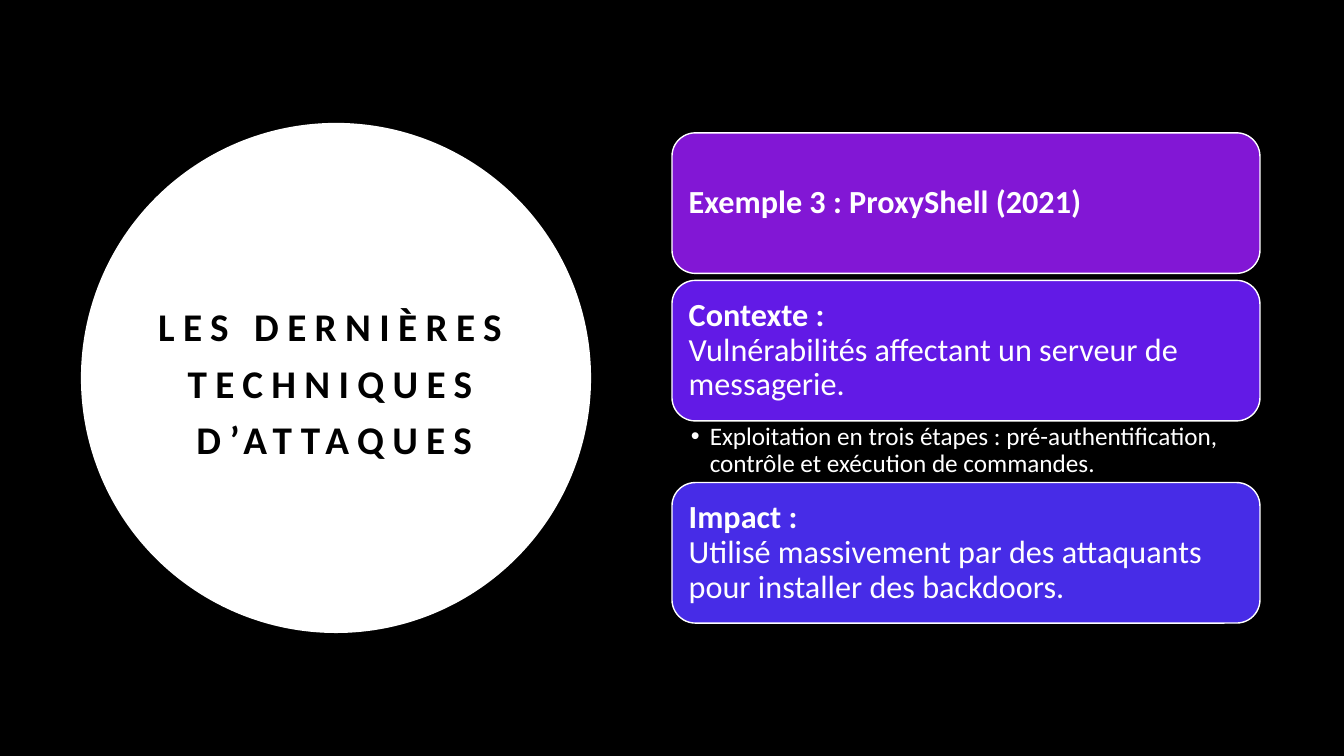
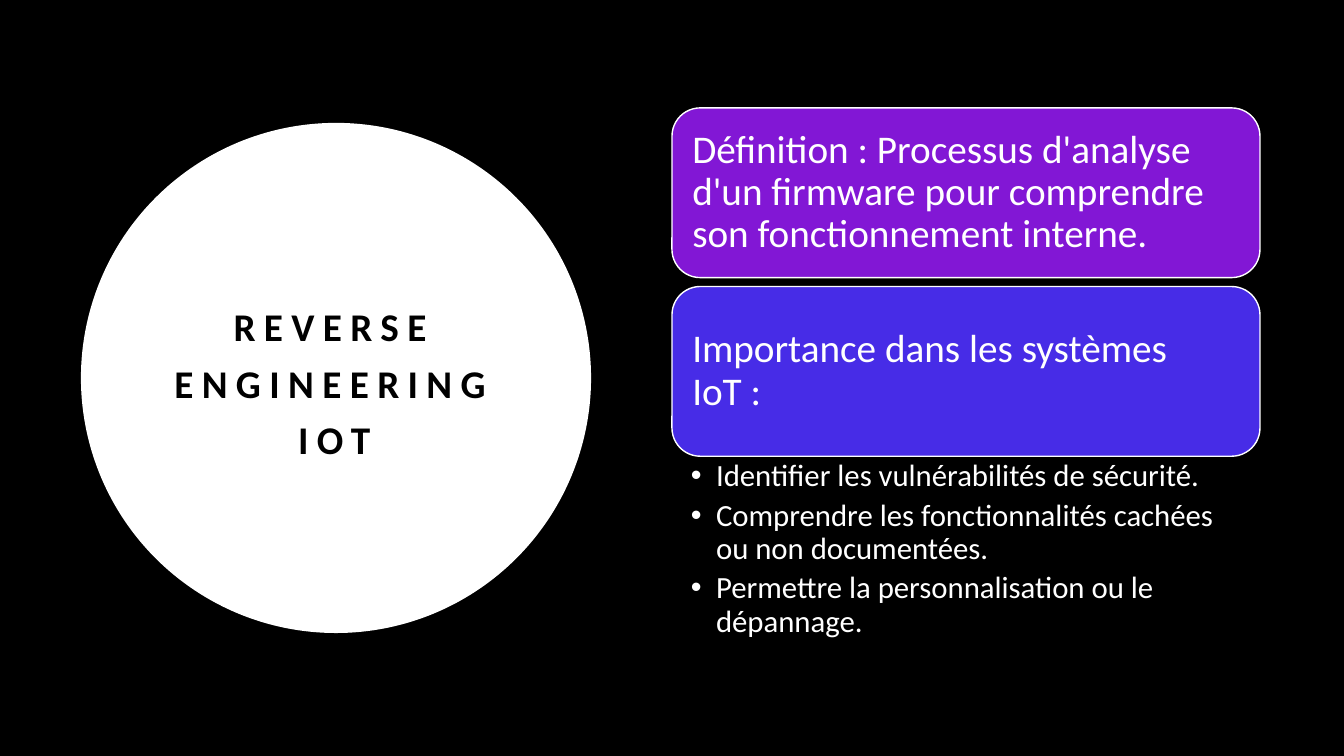
"""Build two slides on attack techniques and IoT reverse engineering."""
from dataclasses import dataclass

from lxml.etree import SubElement
from pptx import Presentation
from pptx.dml.color import RGBColor as RGB
from pptx.enum.shapes import MSO_SHAPE as Shape
from pptx.enum.text import MSO_ANCHOR as Anchor, MSO_AUTO_SIZE as AutoSize, PP_ALIGN as Align
from pptx.oxml.ns import qn
from pptx.util import Pt


@dataclass(frozen=True)
class Theme:
    font: str = "Calibri"
    black: RGB = RGB(0x00, 0x00, 0x00)
    white: RGB = RGB(0xFF, 0xFF, 0xFF)
    purple: RGB = RGB(0x82, 0x17, 0xD5)
    violet: RGB = RGB(0x62, 0x1A, 0xE6)
    indigo: RGB = RGB(0x47, 0x2C, 0xE7)
    title_size: float = 28
    title_tracking: int = 600


THEME = Theme()
SLIDE_W, SLIDE_H = 960, 540
CIRCLE_LEFT, CIRCLE_SIZE = 57.8, 364.4
TITLE_LEFT, TITLE_W, TITLE_H = 95.2, 287.2, 180
BAND_LEFT, BAND_W = 480, 420

SLIDES = [
    {
        "title": "LES DERNIÈRES TECHNIQUES D’ATTAQUES",
        "band": {"height": 100.4, "gap": 5, "size": 23, "inset": 7.2},
        "list": {"height": 44, "size": 18, "indent": 13.5, "inset": (13.5, 2.1, 13, 2.1)},
        "sections": [
            {"color": THEME.purple, "lead": "Exemple 3 : ProxyShell (2021)"},
            {
                "color": THEME.violet,
                "lead": "Contexte :",
                "body": "Vulnérabilités affectant un serveur de messagerie.",
                "points": [
                    "Exploitation en trois étapes : pré-authentification, "
                    "contrôle et exécution de commandes.",
                ],
            },
            {
                "color": THEME.indigo,
                "lead": "Impact :",
                "body": "Utilisé massivement par des attaquants pour installer des backdoors.",
            },
        ],
    },
    {
        "title": "REVERSE ENGINEERING IOT",
        "band": {"height": 121.2, "gap": 6.4, "size": 28, "inset": 8.6},
        "list": {"height": 137, "size": 22, "indent": 18, "inset": (13.5, 2.8, 15.8, 2.8)},
        "sections": [
            {
                "color": THEME.purple,
                "body": "Définition : Processus d'analyse d'un firmware "
                        "pour comprendre son fonctionnement interne.",
            },
            {
                "color": THEME.indigo,
                "body": "Importance dans les systèmes IoT :",
                "points": [
                    "Identifier les vulnérabilités de sécurité.",
                    "Comprendre les fonctionnalités cachées ou non documentées.",
                    "Permettre la personnalisation ou le dépannage.",
                ],
            },
        ],
    },
]


def write(shape, paragraphs, *, size, color=THEME.white, align=Align.LEFT, anchor=Anchor.MIDDLE,
          inset=(7.2, 3.6, 7.2, 3.6), spacing=0.9, after=0, indent=0, tracking=0):
    """Fill a shape with paragraphs, each a list of (line, bold) pairs."""
    frame = shape.text_frame
    frame.word_wrap = True
    frame.auto_size = AutoSize.NONE
    frame.vertical_anchor = anchor
    frame.margin_left, frame.margin_top, frame.margin_right, frame.margin_bottom = map(Pt, inset)
    for number, lines in enumerate(paragraphs):
        paragraph = frame.add_paragraph() if number else frame.paragraphs[0]
        paragraph.alignment = align
        paragraph.line_spacing = spacing
        paragraph.space_before = Pt(0)
        paragraph.space_after = Pt(after)
        if indent:
            paragraph.level = 1
            properties = paragraph._p.get_or_add_pPr()
            properties.set("marL", str(Pt(indent)))
            properties.set("indent", str(-Pt(indent)))
            SubElement(properties, qn("a:buFont"), typeface="Arial")
            SubElement(properties, qn("a:buChar"), char="•")
        for position, (line, bold) in enumerate(lines):
            if position:
                paragraph.add_line_break()
            run = paragraph.add_run()
            run.text = line
            run.font.name = THEME.font
            run.font.size = Pt(size)
            run.font.bold = bold
            run.font.color.rgb = color
            if tracking:
                run._r.get_or_add_rPr().set("spc", str(tracking))


def add_panel(slide, preset, left, top, width, height, fill, outline=None):
    """Add a flat filled shape."""
    panel = slide.shapes.add_shape(preset, Pt(left), Pt(top), Pt(width), Pt(height))
    panel.shadow.inherit = False
    panel.fill.solid()
    panel.fill.fore_color.rgb = fill
    if outline is None:
        panel.line.fill.background()
    else:
        panel.line.color.rgb = outline
        panel.line.width = Pt(1)
    return panel


def add_title(slide, title):
    """Place the title over its white circle."""
    circle = add_panel(slide, Shape.OVAL, CIRCLE_LEFT, (SLIDE_H - CIRCLE_SIZE) / 2,
                       CIRCLE_SIZE, CIRCLE_SIZE, THEME.white)
    heading = slide.shapes.title
    heading._element.addprevious(circle._element)
    heading.left, heading.top = Pt(TITLE_LEFT), Pt((SLIDE_H - TITLE_H) / 2)
    heading.width, heading.height = Pt(TITLE_W), Pt(TITLE_H)
    write(heading, [[(title, True)]], size=THEME.title_size, color=THEME.black,
          align=Align.CENTER, spacing=1.2, tracking=THEME.title_tracking)


def add_sections(slide, sections, band, points_style):
    """Stack bands and their lists, centred on the slide height."""
    last = len(sections) - 1
    steps = [
        band["height"] + (points_style["height"] if "points" in section
                          else band["gap"] if number < last else 0)
        for number, section in enumerate(sections)
    ]
    top = (SLIDE_H - sum(steps)) / 2
    for section, step in zip(sections, steps):
        panel = add_panel(slide, Shape.ROUNDED_RECTANGLE, BAND_LEFT, top, BAND_W,
                          band["height"], section["color"], THEME.white)
        lines = [(section[part], part == "lead") for part in ("lead", "body") if part in section]
        write(panel, [lines], size=band["size"], inset=[band["inset"]] * 4)
        if "points" in section:
            points = slide.shapes.add_textbox(Pt(BAND_LEFT), Pt(top + band["height"]),
                                              Pt(BAND_W), Pt(points_style["height"]))
            write(points, [[(point, False)] for point in section["points"]],
                  size=points_style["size"], anchor=Anchor.TOP, inset=points_style["inset"],
                  after=points_style["size"] * 0.2, indent=points_style["indent"])
        top += step


def main():
    """Build and save the presentation."""
    deck = Presentation()
    deck.slide_width, deck.slide_height = Pt(SLIDE_W), Pt(SLIDE_H)
    backdrop = deck.slide_master.background.fill
    backdrop.solid()
    backdrop.fore_color.rgb = THEME.black
    for content in SLIDES:
        slide = deck.slides.add_slide(deck.slide_layouts[5])
        add_title(slide, content["title"])
        add_sections(slide, content["sections"], content["band"], content["list"])
    deck.save("out.pptx")


if __name__ == "__main__":
    main()
